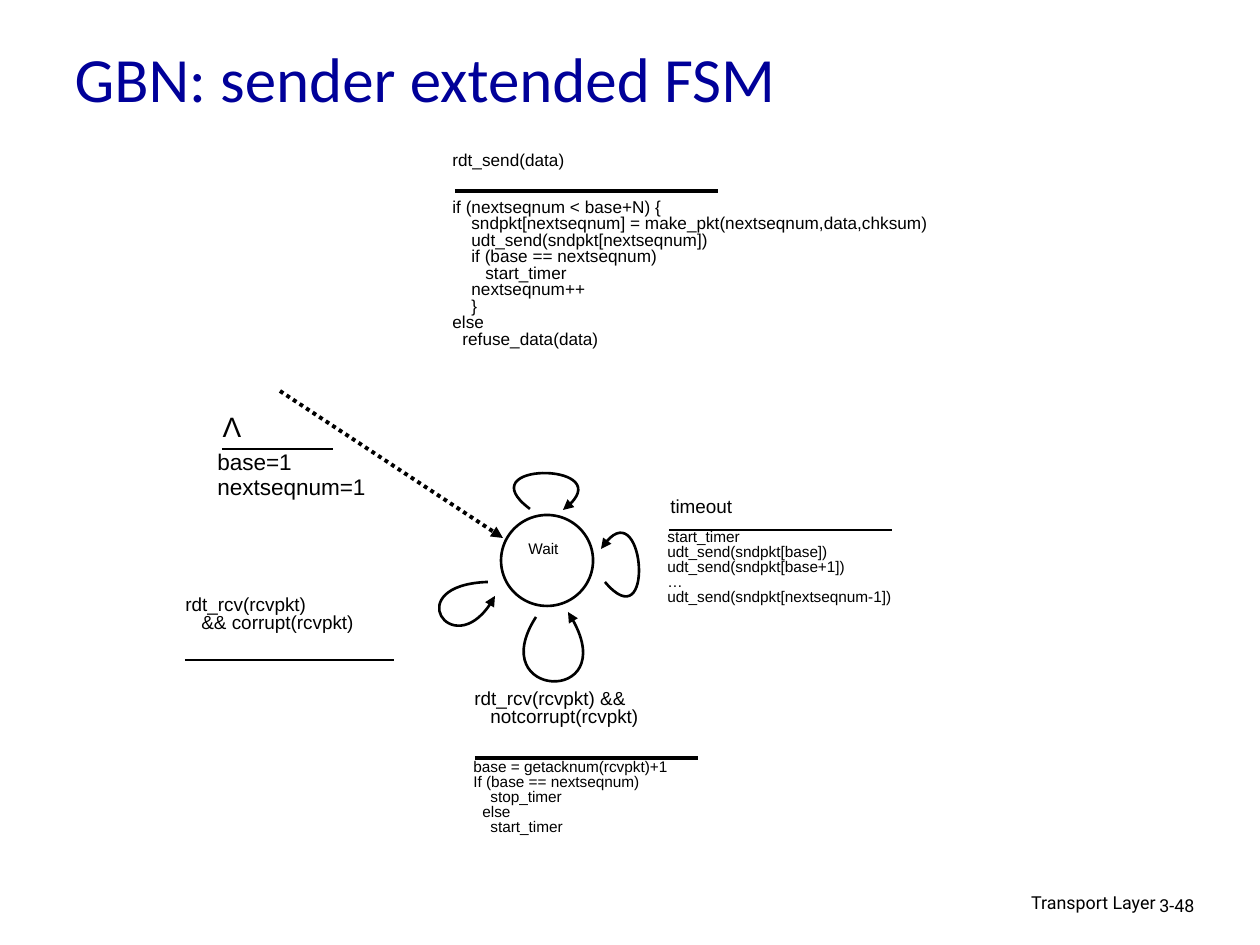
"""Build the slide showing the extended FSM of the Go-Back-N sender."""
from pptx import Presentation
from pptx.dml.color import RGBColor
from pptx.enum.dml import MSO_LINE
from pptx.enum.shapes import MSO_CONNECTOR, MSO_SHAPE
from pptx.enum.text import MSO_ANCHOR, PP_ALIGN
from pptx.oxml.ns import qn
from pptx.util import Pt
from lxml.etree import SubElement

PX = 914400 / 126
COLORS = {name: RGBColor.from_string(value) for name, value in
          {"title": "000099", "ink": "000000", "state": "FFFFFF"}.items()}


def add_text(box, lines, size, spacing=0.8, align=PP_ALIGN.LEFT, font="Arial"):
    tf = s.shapes.add_textbox(*(int(n * PX) for n in box)).text_frame
    tf.word_wrap = True
    for i, (indent, text) in enumerate(lines):
        p = tf.paragraphs[0] if i == 0 else tf.add_paragraph()
        p.text = text
        p.alignment = align
        p.line_spacing = spacing
        p.font.size = Pt(size)
        p.font.name = font
        p.font.color.rgb = COLORS["ink"]
        if indent:
            p._p.get_or_add_pPr().set("marL", str(int(indent * PX)))


def style_line(sp, width=1.5, arrow=False):
    sp.line.color.rgb = COLORS["ink"]
    sp.line.width = Pt(width)
    if arrow:
        SubElement(sp.line._get_or_add_ln(), qn("a:tailEnd"), type="triangle")
    SubElement(sp._element.spPr, qn("a:effectLst"))


prs = Presentation()
prs.slide_width, prs.slide_height = int(1260 * PX), int(945 * PX)
s = prs.slides.add_slide(prs.slide_layouts[5])

title = s.shapes.title
title.left, title.top, title.width, title.height = (int(n * PX) for n in (62, 29, 1071, 97))
title.text_frame.vertical_anchor = MSO_ANCHOR.MIDDLE
p = title.text_frame.paragraphs[0]
p.text = "GBN: sender extended FSM"
p.alignment = PP_ALIGN.LEFT
p.font.size = Pt(36)
p.font.name = "Calibri"
p.font.color.rgb = COLORS["title"]

add_text((769, 888, 399, 39), [(0, "Transport Layer")], 10.2, 0.9, PP_ALIGN.RIGHT, "Roboto")
add_text((1147, 891, 93, 38), [(0, "3-48")], 10.2, 0.9, font="Roboto")

state = s.shapes.add_shape(MSO_SHAPE.OVAL, *(int(n * PX) for n in (501, 515, 92, 91)))
state.fill.solid()
state.fill.fore_color.rgb = COLORS["state"]
style_line(state)
add_text((488, 537, 111, 33), [(0, "Wait")], 8.8, align=PP_ALIGN.CENTER)

start = s.shapes.add_connector(MSO_CONNECTOR.STRAIGHT, *(int(n * PX) for n in (280, 391, 503, 538)))
start.line.dash_style = MSO_LINE.ROUND_DOT
style_line(start, 2.25, arrow=True)

rules = [(455, 718, 191, 2.25), (222, 333, 449, 1.5), (669, 892, 530, 1.5),
         (185, 394, 660, 1.5), (475, 698, 758, 2.25)]
for x1, x2, y, width in rules:
    rule = s.shapes.add_connector(MSO_CONNECTOR.STRAIGHT, *(int(n * PX) for n in (x1, y, x2, y)))
    style_line(rule, width)

loops = [
    [(530, 509), (467, 462), (627, 462), (563, 510)],
    [(605, 582), (655, 641), (644, 483), (601, 549)],
    [(536, 617), (483, 699), (629, 706), (568, 612)],
    [(488, 582), (399, 585), (456, 669), (495, 596)],
]
for first, *controls in loops:
    fb = s.shapes.build_freeform(*first, scale=PX)
    fb.add_line_segments(controls, close=False)
    loop = fb.convert_to_shape()
    loop.fill.background()
    style_line(loop, arrow=True)
    outline = loop._element.spPr.find(".//" + qn("a:path"))
    curve = SubElement(outline, qn("a:cubicBezTo"))
    for segment in outline.findall(qn("a:lnTo")):
        curve.append(segment[0])
        outline.remove(segment)

add_text((440, 147, 321, 35), [(0, "rdt_send(data)")], 9.8)
add_text((440, 194, 761, 202), [
    (0, "if (nextseqnum < base+N) {"),
    (19, "sndpkt[nextseqnum] = make_pkt(nextseqnum,data,chksum)"),
    (19, "udt_send(sndpkt[nextseqnum])"),
    (19, "if (base == nextseqnum)"),
    (33, "start_timer"),
    (19, "nextseqnum++"),
    (19, "}"),
    (0, "else"),
    (10, "refuse_data(data)"),
], 9.8)

add_text((210, 403, 44, 47), [(0, "Λ")], 16, 1.0, PP_ALIGN.CENTER)
add_text((205, 445, 204, 69), [(0, "base=1"), (0, "nextseqnum=1")], 12.9, 0.9)

add_text((658, 493, 151, 38), [(0, "timeout")], 10.8)
add_text((655, 525, 383, 115), [
    (0, "start_timer"),
    (0, "udt_send(sndpkt[base])"),
    (0, "udt_send(sndpkt[base+1])"),
    (0, "…"),
    (0, "udt_send(sndpkt[nextseqnum-1])"),
], 8.8)

add_text((173, 591, 282, 62), [(0, "rdt_rcv(rcvpkt)"), (16, "&& corrupt(rcvpkt)")], 10.8)

add_text((462, 685, 391, 62), [(0, "rdt_rcv(rcvpkt) &&"), (16, "notcorrupt(rcvpkt)")], 10.8)
add_text((461, 755, 508, 115), [
    (0, "base = getacknum(rcvpkt)+1"),
    (0, "If (base == nextseqnum)"),
    (17, "stop_timer"),
    (9, "else"),
    (17, "start_timer"),
], 8.8)

prs.save("out.pptx")
